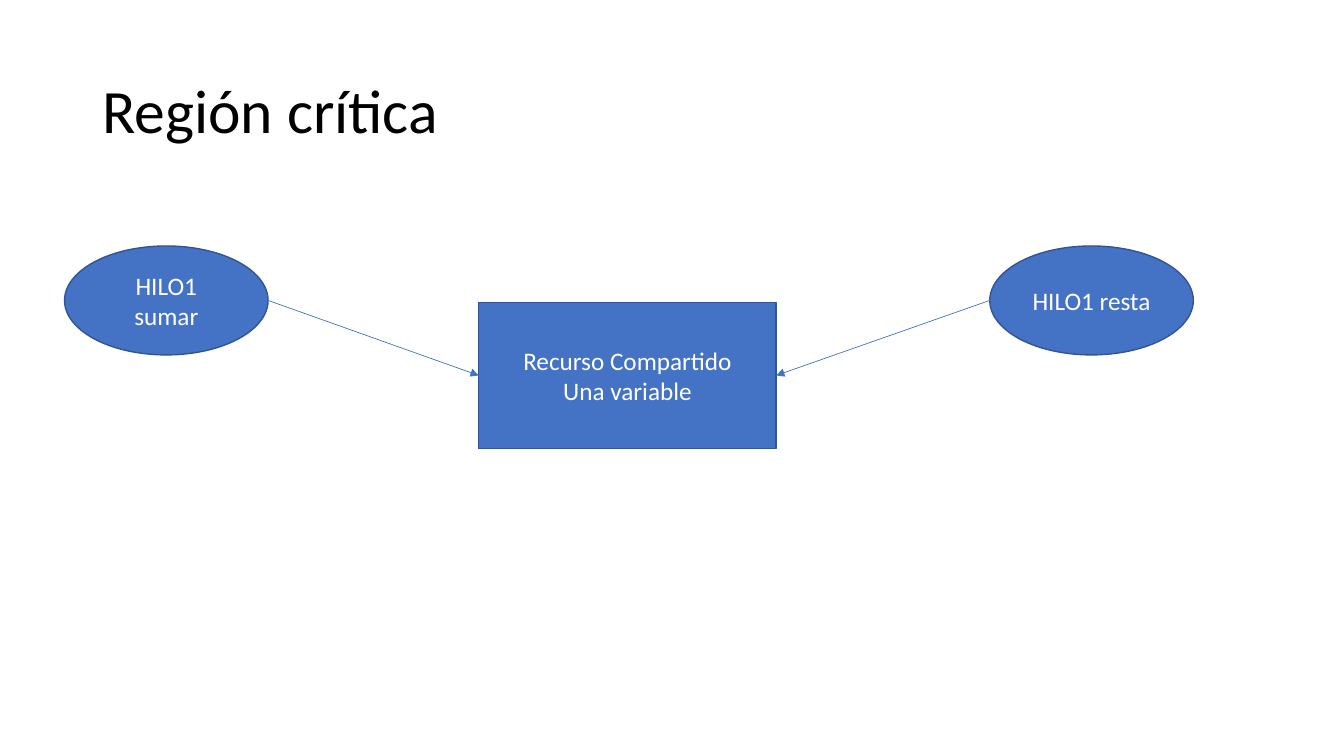
"""Build the slide on two threads that share one resource."""
from lxml import etree
from pptx import Presentation
from pptx import util as u
from pptx.dml.color import RGBColor
from pptx.enum import shapes, text
from pptx.oxml import ns

HEX = {"ink": "000000", "paper": "FFFFFF", "blue": "4472C4", "edge": "325491"}
TITLE = ("Región crítica", (66, 28.8, 828, 104.4))
SHARED = (["Recurso Compartido", "Una variable"], (342, 216, 212.4, 104.4))
THREADS = [("HILO1 sumar", 46.1), ("HILO1 resta", 707)]
OVAL = {"top": 175.7, "wide": 145.4, "high": 77.8}


def color(name):
    return RGBColor.from_string(HEX[name])


def write(shape, lines, size=18, ink="paper", align=text.PP_ALIGN.CENTER, lead=1.0):
    frame = shape.text_frame
    frame.word_wrap = True
    frame.vertical_anchor = text.MSO_ANCHOR.MIDDLE
    frame.text = "\n".join(lines)
    for para in frame.paragraphs:
        para.alignment = align
        para.line_spacing = lead
        font = para.runs[0].font
        font.name, font.size = "Calibri", u.Pt(size)
        font.color.rgb = color(ink)


def node(kind, box, lines):
    shape = slide.shapes.add_shape(kind, *map(u.Pt, box))
    shape.shadow.inherit = False
    shape.fill.solid()
    shape.fill.fore_color.rgb = color("blue")
    shape.line.color.rgb = color("edge")
    shape.line.width = u.Pt(1)
    write(shape, lines)
    return shape


def arrow(start, end):
    link = slide.shapes.add_connector(shapes.MSO_CONNECTOR.STRAIGHT, *start, *end)
    link.line.color.rgb = color("blue")
    link.line.width = u.Pt(0.5)
    etree.SubElement(link.line._get_or_add_ln(), ns.qn("a:tailEnd"), type="triangle")
    etree.SubElement(link._element.spPr, ns.qn("a:effectLst"))


def side(shape, right):
    return shape.left + right * shape.width, shape.top + shape.height // 2


deck = Presentation()
deck.slide_width, deck.slide_height = u.Pt(960), u.Pt(540)
slide = deck.slides.add_slide(deck.slide_layouts[6])

head, place = TITLE
write(slide.shapes.add_textbox(*map(u.Pt, place)), [head],
      size=44, ink="ink", align=text.PP_ALIGN.LEFT, lead=0.9)

lines, place = SHARED
shared = node(shapes.MSO_SHAPE.RECTANGLE, place, lines)
for label, left in THREADS:
    box = (left, OVAL["top"], OVAL["wide"], OVAL["high"])
    thread = node(shapes.MSO_SHAPE.OVAL, box, [label])
    before = thread.left < shared.left
    arrow(side(thread, before), side(shared, not before))

deck.save("out.pptx")
